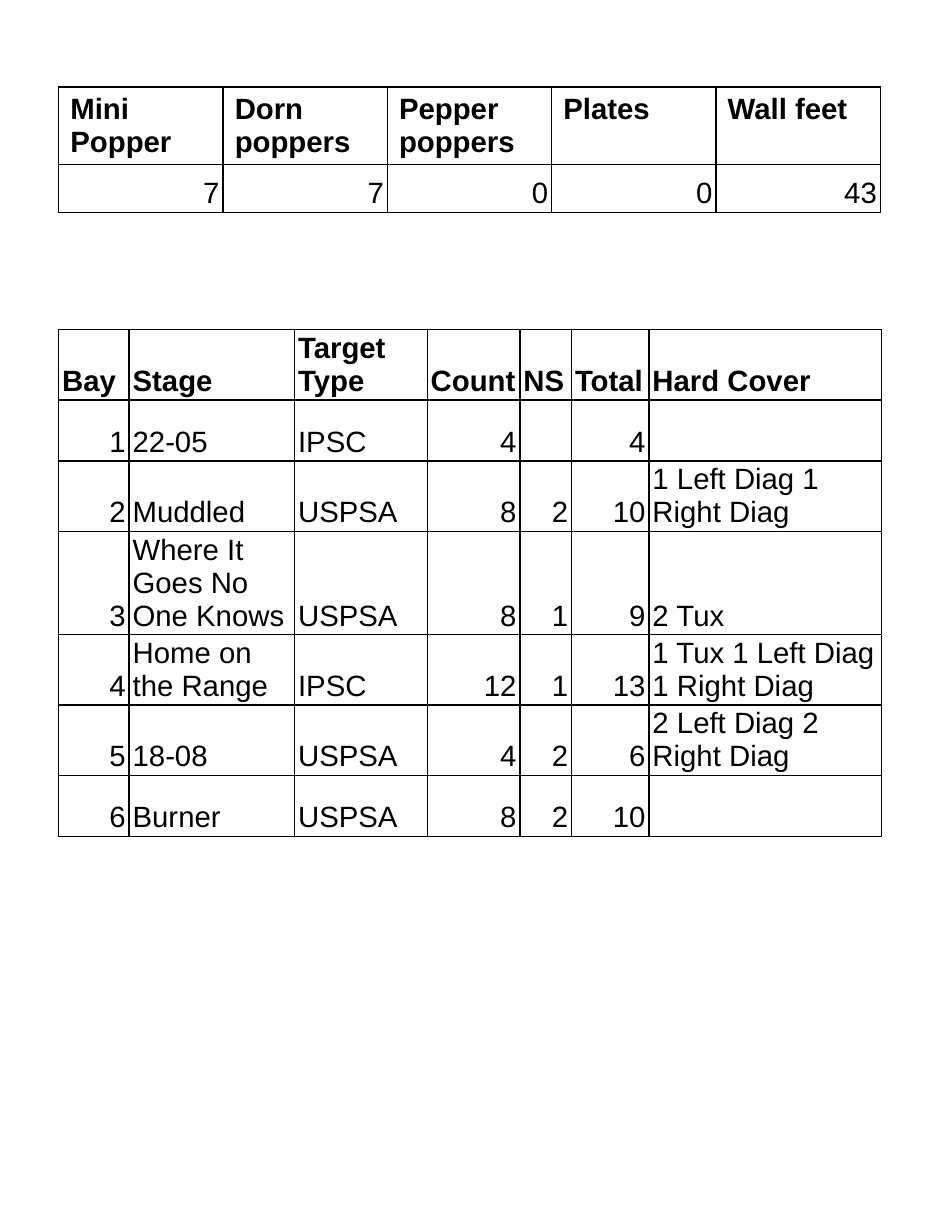
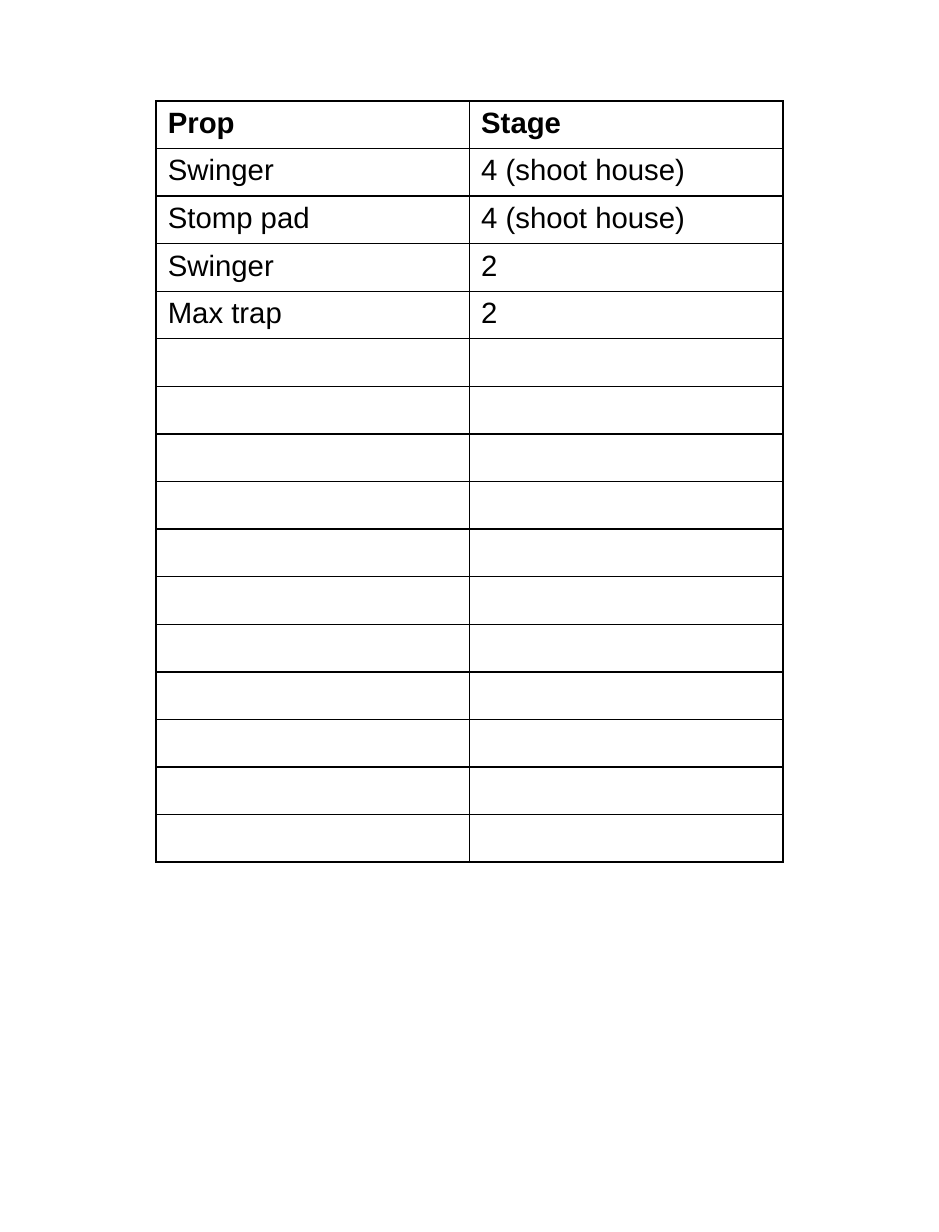
from dataclasses import dataclass

from lxml.etree import SubElement
from pptx import Presentation
from pptx.dml.color import RGBColor
from pptx.enum.text import MSO_ANCHOR, PP_ALIGN
from pptx.oxml.ns import qn
from pptx.util import Emu, Pt

PX = 9144  # EMU per px, 100 px to the inch


def px(n: int) -> Emu:
    return Emu(n * PX)


# Theme
@dataclass(frozen=True)
class Theme:
    font: str = "Arial"
    size: int = 18
    ink: str = "000000"
    paper: str = "FFFFFF"
    rule: int = 1


THEME = Theme()
TIGHT = {
    "vertical_anchor": MSO_ANCHOR.BOTTOM,
    "margin_left": px(3), "margin_right": px(3),
    "margin_top": px(2), "margin_bottom": px(2),
}


@dataclass(frozen=True)
class Grid:
    """A ruled table; rows from tight_from on are bottom-set with narrow margins.

    Without a row_height, the rows share the height equally.
    """
    left: int
    top: int
    height: int
    cols: list[int]
    rows: list[list[str]]
    tight_from: int
    row_height: int | None = None


# Content
POPPERS = Grid(50, 74, 111, [140] * 5, [
    ["Mini Popper", "Dorn poppers", "Pepper poppers", "Plates", "Wall feet"],
    ["7", "7", "0", "0", "43"],
], tight_from=1, row_height=41)

TARGETS = Grid(50, 281, 454, [60, 141, 113, 79, 44, 66, 198], [
    ["Bay", "Stage", "Target Type", "Count", "NS", "Total", "Hard Cover"],
    ["1", "22-05", "IPSC", "4", "", "4", ""],
    ["2", "Muddled", "USPSA", "8", "2", "10", "1 Left Diag 1 Right Diag"],
    ["3", "Where It Goes No One Knows", "USPSA", "8", "1", "9", "2 Tux"],
    ["4", "Home on the Range", "IPSC", "12", "1", "13", "1 Tux 1 Left Diag 1 Right Diag"],
    ["5", "18-08", "USPSA", "4", "2", "6", "2 Left Diag 2 Right Diag"],
    ["6", "Burner", "USPSA", "8", "2", "10", ""],
], tight_from=0, row_height=52)

PROP_ROWS = [
    ["Prop", "Stage"],
    ["Swinger", "4 (shoot house)"],
    ["Stomp pad", "4 (shoot house)"],
    ["Swinger", "2"],
    ["Max trap", "2"],
] + [["", ""]] * 11
PROPS = Grid(133, 86, 649, [267, 267], PROP_ROWS, tight_from=len(PROP_ROWS))

SLIDES = [[POPPERS, TARGETS], [PROPS]]


# Drawing
def set_all(target, values: dict) -> None:
    for name, value in values.items():
        setattr(target, name, value)


def add_borders(cell) -> None:
    tc_pr = cell._tc.get_or_add_tcPr()
    for side in ("lnL", "lnR", "lnT", "lnB"):
        ln = SubElement(tc_pr, qn(f"a:{side}"), w=str(Pt(THEME.rule)))
        fill = SubElement(ln, qn("a:solidFill"))
        SubElement(fill, qn("a:srgbClr"), val=THEME.ink)


def fill_cell(cell, text: str, bold: bool, tight: bool) -> None:
    add_borders(cell)
    cell.fill.solid()
    cell.fill.fore_color.rgb = RGBColor.from_string(THEME.paper)
    if not text:
        return
    p = cell.text_frame.paragraphs[0]
    if tight:
        set_all(cell, TIGHT)
        if text.isdigit():
            p.alignment = PP_ALIGN.RIGHT
    r = p.add_run()
    r.text = text
    set_all(r.font, {"name": THEME.font, "size": Pt(THEME.size), "bold": bold})
    r.font.color.rgb = RGBColor.from_string(THEME.ink)


def add_grid(s, grid: Grid) -> None:
    frame = s.shapes.add_table(len(grid.rows), len(grid.cols), px(grid.left), px(grid.top),
                               px(sum(grid.cols)), px(grid.height))
    table = frame.table
    set_all(table, {"first_row": False, "horz_banding": False})
    for column, width in zip(table.columns, grid.cols):
        column.width = px(width)
    for i, texts in enumerate(grid.rows):
        if grid.row_height:
            table.rows[i].height = px(grid.row_height)
        for j, text in enumerate(texts):
            fill_cell(table.cell(i, j), text, bold=i == 0, tight=i >= grid.tight_from)
    frame.height = px(grid.height)


def main() -> None:
    prs = Presentation()
    set_all(prs, {"slide_width": px(800), "slide_height": px(1050)})
    for grids in SLIDES:
        s = prs.slides.add_slide(prs.slide_layouts[6])
        for grid in grids:
            add_grid(s, grid)
    prs.save("out.pptx")


if __name__ == "__main__":
    main()
